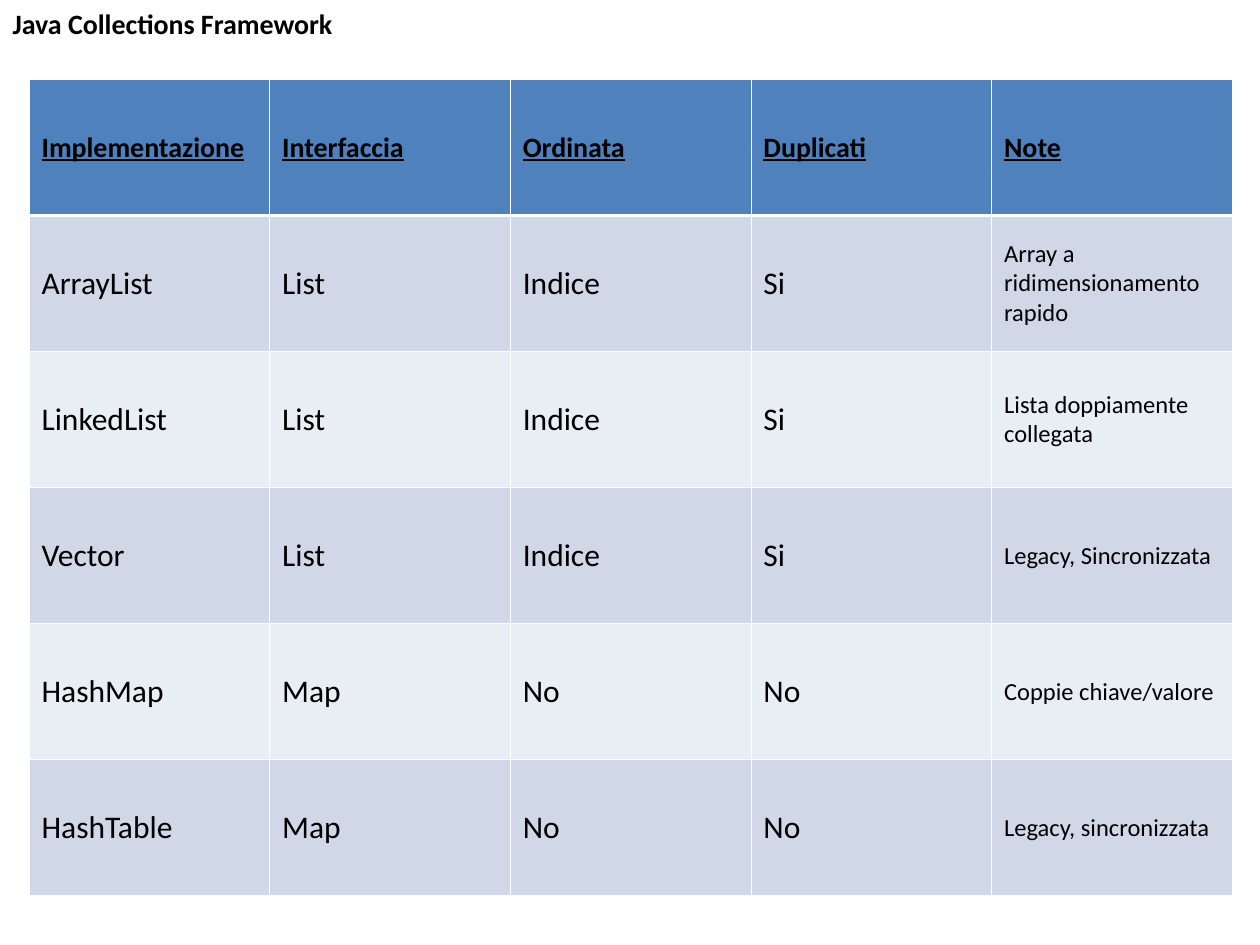
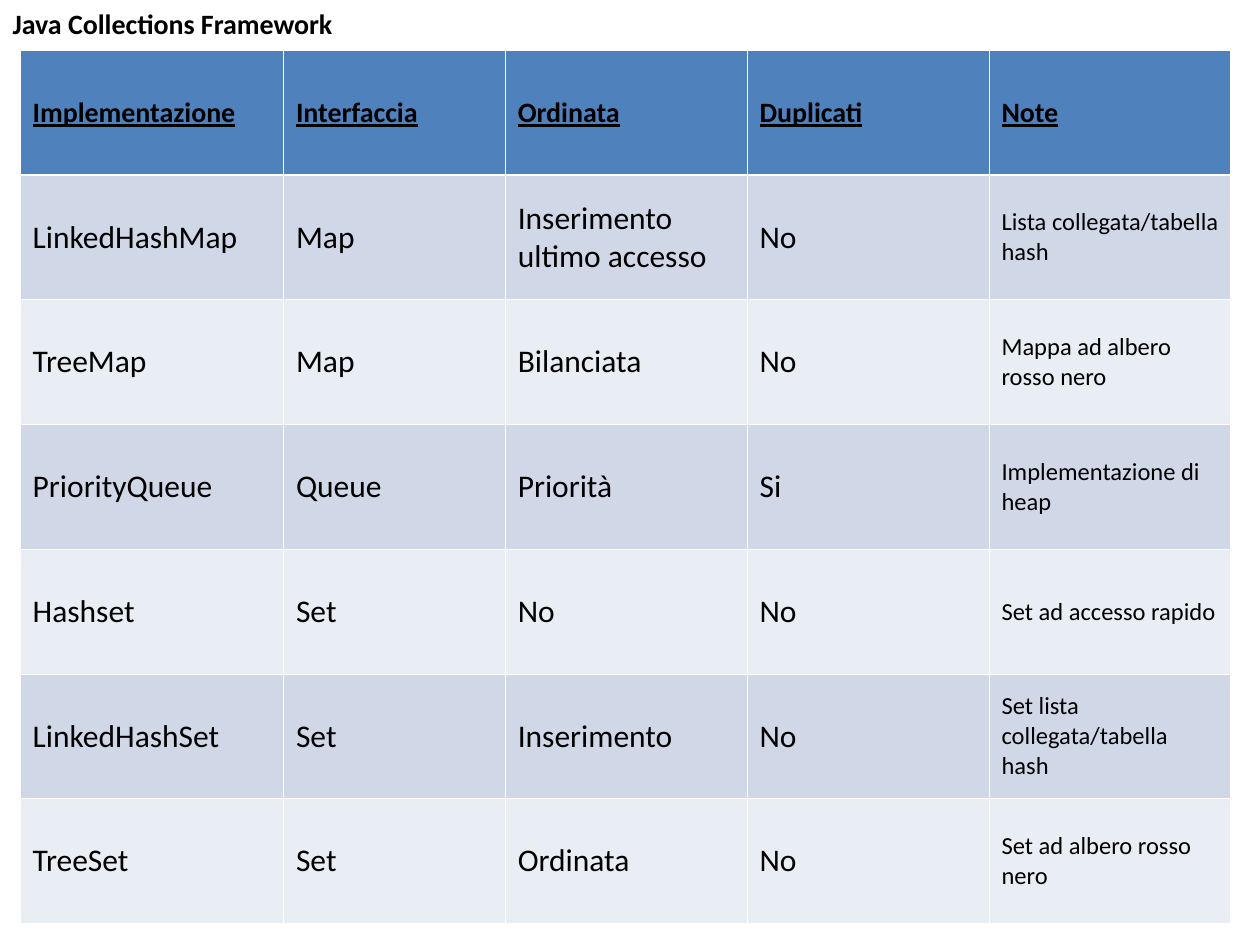
from dataclasses import dataclass

from lxml import etree
from pptx import Presentation
from pptx import util as u
from pptx.dml import color
from pptx.enum import text
from pptx.oxml import ns


@dataclass(frozen=True)
class Theme:
    font: str = "Calibri"
    ink: str = "000000"
    header_fill: str = "4F81BD"
    band_fills: tuple[str, str] = ("D0D8E8", "E9EDF4")
    border: str = "FFFFFF"
    thin_line: float = 0.45
    thick_line: float = 1.47
    heading_size: int = 16
    body_size: int = 18
    note_size: int = 14


@dataclass(frozen=True)
class CollectionTable:
    left: float
    top: float
    column_widths: tuple[float, ...]
    row_height: float
    rows: tuple[tuple[str, ...], ...]


THEME = Theme()
TITLE = "Java Collections Framework"
HEADINGS = ("Implementazione", "Interfaccia", "Ordinata", "Duplicati", "Note")
TABLES = (
    CollectionTable(0.23, 0.63, (1.91,) * 5, 1.08, (
        ("ArrayList", "List", "Indice", "Si", "Array a ridimensionamento rapido"),
        ("LinkedList", "List", "Indice", "Si", "Lista doppiamente collegata"),
        ("Vector", "List", "Indice", "Si", "Legacy, Sincronizzata"),
        ("HashMap", "Map", "No", "No", "Coppie chiave/valore"),
        ("HashTable", "Map", "No", "No", "Legacy, sincronizzata"),
    )),
    CollectionTable(0.16, 0.4, (2.09, 1.76, 1.92, 1.92, 1.92), 0.99, (
        ("LinkedHashMap", "Map", "Inserimento ultimo accesso", "No",
         "Lista collegata/tabella hash"),
        ("TreeMap", "Map", "Bilanciata", "No", "Mappa ad albero rosso nero"),
        ("PriorityQueue", "Queue", "Priorità", "Si", "Implementazione di heap"),
        ("Hashset", "Set", "No", "No", "Set ad accesso rapido"),
        ("LinkedHashSet", "Set", "Inserimento", "No", "Set lista collegata/tabella hash"),
        ("TreeSet", "Set", "Ordinata", "No", "Set ad albero rosso nero"),
    )),
)


def format_text(frame, size: int, bold: bool = False, underline: bool = False) -> None:
    for para in frame.paragraphs:
        para.alignment = text.PP_ALIGN.LEFT
        for span in para.runs:
            span.font.name = THEME.font
            span.font.size = u.Pt(size)
            span.font.bold = bold
            span.font.underline = underline
            span.font.color.rgb = color.RGBColor.from_string(THEME.ink)


def add_title(slide) -> None:
    title = slide.shapes.title
    title.left, title.top = u.Inches(0), u.Inches(0)
    title.width, title.height = u.Inches(3.2), u.Inches(0.37)
    frame = title.text_frame
    frame.text = TITLE
    frame.word_wrap = False
    frame.auto_size = text.MSO_AUTO_SIZE.NONE
    frame.vertical_anchor = text.MSO_ANCHOR.TOP
    frame.margin_left = frame.margin_right = u.Inches(0.1)
    frame.margin_top = frame.margin_bottom = u.Inches(0.05)
    format_text(frame, THEME.heading_size, bold=True)


def set_borders(cell, row: int) -> None:
    """Draw thin borders, with a thick rule between the header and the first row."""
    thick_side = {0: "lnB", 1: "lnT"}.get(row)
    properties = cell._tc.get_or_add_tcPr()
    for side in ("lnL", "lnR", "lnT", "lnB"):
        width = THEME.thick_line if side == thick_side else THEME.thin_line
        line = etree.SubElement(properties, ns.qn(f"a:{side}"), w=str(u.Pt(width)))
        fill = etree.SubElement(line, ns.qn("a:solidFill"))
        etree.SubElement(fill, ns.qn("a:srgbClr"), val=THEME.border)


def format_cell(cell, row: int, column: int) -> None:
    is_header = row == 0
    cell.vertical_anchor = text.MSO_ANCHOR.MIDDLE
    cell.margin_left, cell.margin_right = u.Inches(0.1), u.Inches(0.09)
    cell.margin_top = cell.margin_bottom = u.Inches(0.05)
    set_borders(cell, row)
    fill = THEME.header_fill if is_header else THEME.band_fills[(row - 1) % 2]
    cell.fill.solid()
    cell.fill.fore_color.rgb = color.RGBColor.from_string(fill)
    if is_header:
        size = THEME.heading_size
    elif column == len(HEADINGS) - 1:
        size = THEME.note_size
    else:
        size = THEME.body_size
    format_text(cell.text_frame, size, bold=is_header, underline=is_header)


def add_collection_table(slide, content: CollectionTable) -> None:
    rows = (HEADINGS, *content.rows)
    table = slide.shapes.add_table(
        len(rows), len(HEADINGS), u.Inches(content.left), u.Inches(content.top),
        u.Inches(sum(content.column_widths)), u.Inches(content.row_height * len(rows)),
    ).table
    for column, width in zip(table.columns, content.column_widths):
        column.width = u.Inches(width)
    for row_index, values in enumerate(rows):
        table.rows[row_index].height = u.Inches(content.row_height)
        for column_index, value in enumerate(values):
            cell = table.cell(row_index, column_index)
            cell.text_frame.text = value
            format_cell(cell, row_index, column_index)


def main() -> None:
    deck = Presentation()
    deck.slide_width, deck.slide_height = u.Inches(10), u.Inches(7.5)
    title_only = deck.slide_layouts.get_by_name("Title Only")
    for content in TABLES:
        slide = deck.slides.add_slide(title_only)
        add_title(slide)
        add_collection_table(slide, content)
    deck.save("out.pptx")


if __name__ == "__main__":
    main()
